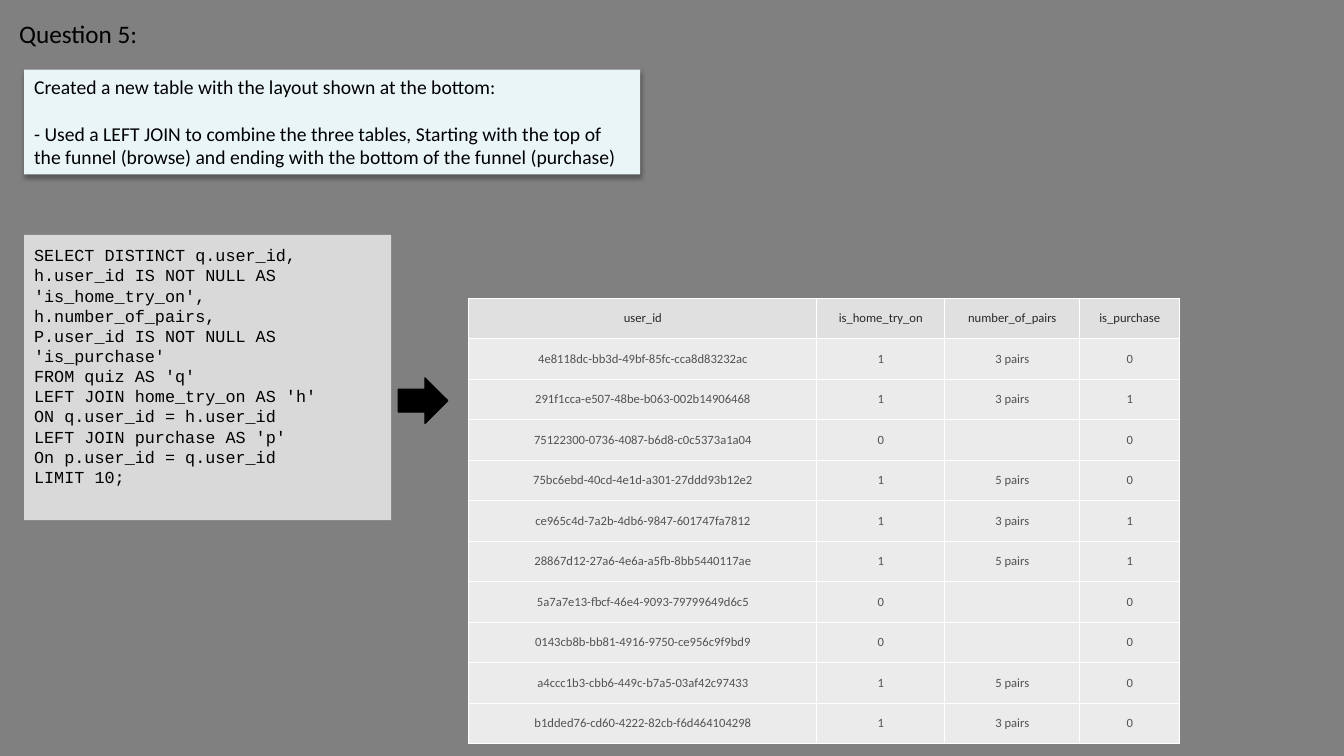
from lxml import etree
from pptx import Presentation
from pptx.dml.color import RGBColor
from pptx.enum import shapes, text
from pptx.oxml import ns
from pptx.util import Inches, Pt

BLACK = RGBColor(0x00, 0x00, 0x00)
BACKGROUND = RGBColor(0x80, 0x80, 0x80)
CODE_FILL = RGBColor(0xD9, 0xD9, 0xD9)
NOTE_FILL = RGBColor(0xEA, 0xF5, 0xF8)
HEADER_FILL = RGBColor(0xE0, 0xE0, 0xE0)
BODY_FILL = RGBColor(0xEB, 0xEB, 0xEB)
HEADER_TEXT = RGBColor(0x29, 0x29, 0x29)
BODY_TEXT = RGBColor(0x52, 0x52, 0x52)

# Content
TITLE = "Question 5: "
EXPLANATION = [
    "Created a new table with the layout shown at the bottom:",
    "- Used a LEFT JOIN to combine the three tables, Starting with the top of "
    "the funnel (browse) and ending with the bottom of the funnel (purchase) ",
]
QUERY = [
    "SELECT DISTINCT q.user_id,",
    "h.user_id IS NOT NULL AS 'is_home_try_on',",
    "h.number_of_pairs,",
    "P.user_id IS NOT NULL AS 'is_purchase'",
    "FROM quiz AS 'q'",
    "LEFT JOIN home_try_on AS 'h'",
    "ON q.user_id = h.user_id",
    "LEFT JOIN purchase AS 'p'",
    "On p.user_id = q.user_id ",
    "LIMIT 10;",
]
RESULTS = [
    ("user_id", "is_home_try_on", "number_of_pairs", "is_purchase"),
    ("4e8118dc-bb3d-49bf-85fc-cca8d83232ac", "1", "3 pairs", "0"),
    ("291f1cca-e507-48be-b063-002b14906468", "1", "3 pairs", "1"),
    ("75122300-0736-4087-b6d8-c0c5373a1a04", "0", "", "0"),
    ("75bc6ebd-40cd-4e1d-a301-27ddd93b12e2", "1", "5 pairs", "0"),
    ("ce965c4d-7a2b-4db6-9847-601747fa7812", "1", "3 pairs", "1"),
    ("28867d12-27a6-4e6a-a5fb-8bb5440117ae", "1", "5 pairs", "1"),
    ("5a7a7e13-fbcf-46e4-9093-79799649d6c5", "0", "", "0"),
    ("0143cb8b-bb81-4916-9750-ce956c9f9bd9", "0", "", "0"),
    ("a4ccc1b3-cbb6-449c-b7a5-03af42c97433", "1", "5 pairs", "0"),
    ("b1dded76-cd60-4222-82cb-f6d464104298", "1", "3 pairs", "0"),
]
COLUMN_WIDTHS = (3.45, 1.27, 1.34, 0.99)
TABLE_HEIGHT = 4.42


def write(frame, lines, size, font="Calibri", color=BLACK, gap=0,
          align=text.PP_ALIGN.LEFT):
    """Write one paragraph per line, with a gap in points between them."""
    for index, line in enumerate(lines):
        paragraph = frame.add_paragraph() if index else frame.paragraphs[0]
        paragraph.alignment = align
        paragraph.space_before = Pt(gap if index else 0)
        run = paragraph.add_run()
        run.text = line
        run.font.size = Pt(size)
        run.font.name = font
        run.font.color.rgb = color


def add_block(slide, kind, box, fill):
    shape = slide.shapes.add_shape(kind, *map(Inches, box))
    shape.shadow.inherit = False
    shape.fill.solid()
    shape.fill.fore_color.rgb = fill
    shape.line.fill.background()
    shape.text_frame.word_wrap = True
    shape.text_frame.vertical_anchor = text.MSO_ANCHOR.TOP
    return shape


def add_drop_shadow(shape):
    effects = shape._element.spPr.find(ns.qn("a:effectLst"))
    shadow = etree.SubElement(effects, ns.qn("a:outerShdw"), blurRad=str(Pt(3.5)),
                              dist=str(Pt(2.2)), dir="5400000", rotWithShape="0")
    color = etree.SubElement(shadow, ns.qn("a:srgbClr"), val=str(BLACK))
    etree.SubElement(color, ns.qn("a:alpha"), val="32000")


def add_borders(cell):
    properties = cell._tc.get_or_add_tcPr()
    for index, side in enumerate("LRTB"):
        border = etree.Element(ns.qn(f"a:ln{side}"), w=str(Pt(0.75)))
        fill = etree.SubElement(border, ns.qn("a:solidFill"))
        etree.SubElement(fill, ns.qn("a:srgbClr"), val="FFFFFF")
        properties.insert(index, border)


presentation = Presentation()
presentation.slide_width, presentation.slide_height = Inches(13.33), Inches(7.5)
slide = presentation.slides.add_slide(presentation.slide_layouts[5])
slide.background.fill.solid()
slide.background.fill.fore_color.rgb = BACKGROUND

# Title
title = slide.shapes.title
title.left, title.top, title.width, title.height = map(Inches, (0.09, 0.13, 1.59, 0.4))
title.text_frame.word_wrap = False
title.text_frame.auto_size = text.MSO_AUTO_SIZE.NONE
title.text_frame.vertical_anchor = text.MSO_ANCHOR.TOP
write(title.text_frame, [TITLE], 18)

# Query
query = add_block(slide, shapes.MSO_SHAPE.RECTANGLE, (0.24, 2.33, 3.64, 2.83), CODE_FILL)
query.text_frame.margin_top = query.text_frame.margin_bottom = Inches(0.1)
write(query.text_frame, QUERY, 12, font="Courier New")

# Result table
table = slide.shapes.add_table(
    len(RESULTS), len(COLUMN_WIDTHS), Inches(4.65), Inches(2.96),
    Inches(sum(COLUMN_WIDTHS)), Inches(TABLE_HEIGHT)).table
for column, width in zip(table.columns, COLUMN_WIDTHS):
    column.width = Inches(width)
for row_index, values in enumerate(RESULTS):
    for column_index, value in enumerate(values):
        cell = table.cell(row_index, column_index)
        cell.fill.solid()
        cell.fill.fore_color.rgb = BODY_FILL if row_index else HEADER_FILL
        cell.vertical_anchor = text.MSO_ANCHOR.MIDDLE
        cell.margin_left = cell.margin_right = Inches(0.07)
        cell.margin_top = cell.margin_bottom = Inches(0.03)
        add_borders(cell)
        if value:
            write(cell.text_frame, [value], 9, align=text.PP_ALIGN.CENTER,
                  color=BODY_TEXT if row_index else HEADER_TEXT)

# Arrow from query to result
arrow = add_block(slide, shapes.MSO_SHAPE.RIGHT_ARROW, (3.95, 3.75, 0.49, 0.45), BLACK)
arrow.line.color.rgb = BLACK
arrow.line.width = Pt(1)

# Explanation
explanation = add_block(slide, shapes.MSO_SHAPE.RECTANGLE, (0.24, 0.69, 6.11, 1.04), NOTE_FILL)
add_drop_shadow(explanation)
write(explanation.text_frame, EXPLANATION, 14, gap=17)

presentation.save("out.pptx")
